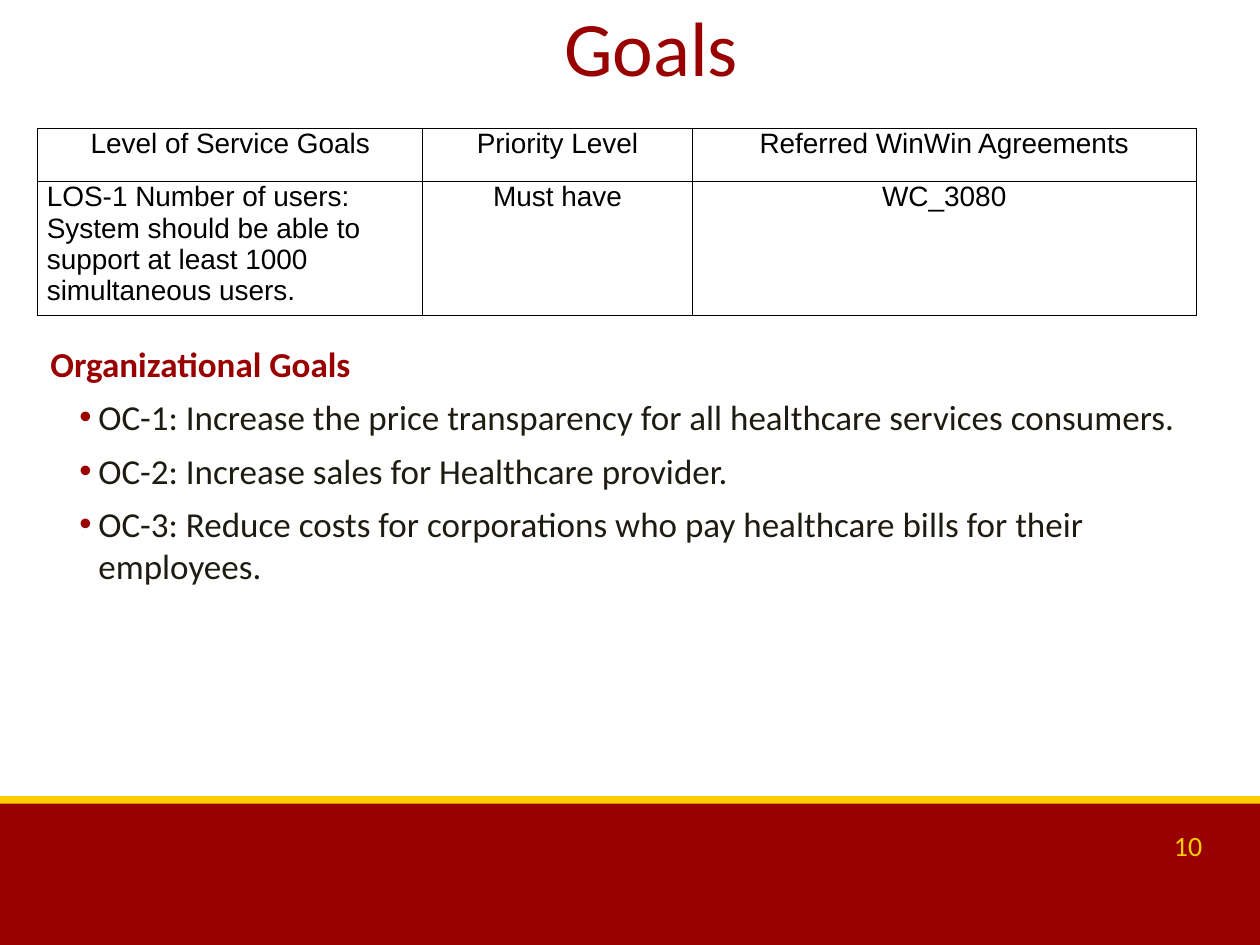
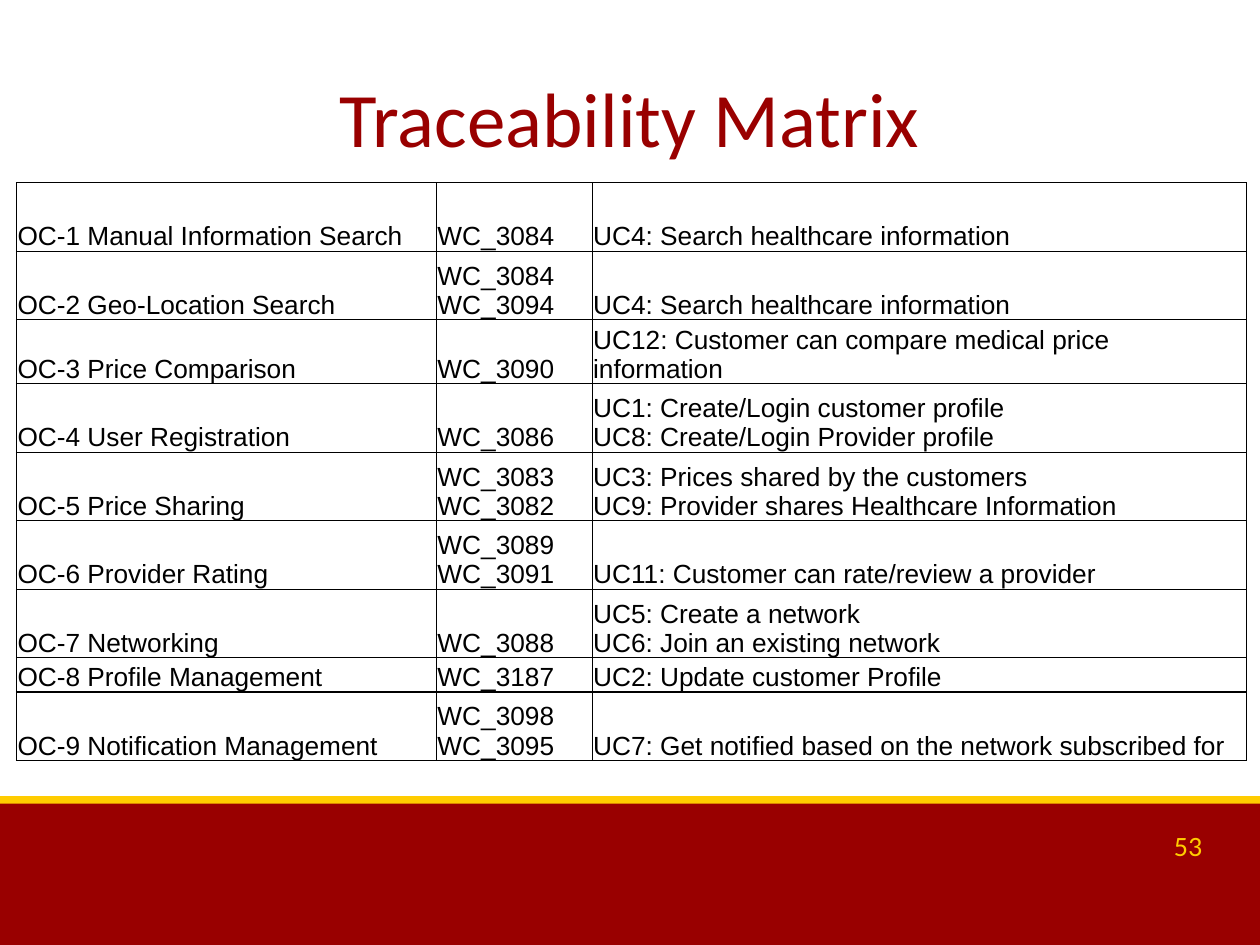
"""Build the goals and traceability matrix slides."""
from lxml.etree import SubElement
from pptx import Presentation
from pptx.dml.color import RGBColor
from pptx.enum.shapes import MSO_SHAPE
from pptx.enum.text import MSO_ANCHOR, MSO_AUTO_SIZE, PP_ALIGN
from pptx.oxml.ns import qn
from pptx.util import Pt

HUES = {"red": "990000", "gold": "FFCC00", "dark": "1E1C11", "black": "000000"}
SIZE = (720, 540)
BANDS = [("red", 457.2, 82.8), ("gold", 455, 4.3)]
PAGE = (526.3, 468.7, 167.8, 28.8)

GOALS = {
    "title": "Goals", "spot": (48.2, 0, 648, 51.8), "page": "10", "layout": 1,
    "table": {
        "at": (21.6, 73.4), "cols": [220, 154, 288], "rows": [30.5, 76.5],
        "size": 16, "pad": (5.2, 0, 5.2, 0), "anchor": MSO_ANCHOR.TOP,
        "left": {(1, 0)},
        "cells": [
            ("Level of Service Goals", "Priority Level", "Referred WinWin Agreements"),
            ("LOS-1 Number of users: System should be able to support at least "
             "1000 simultaneous users.", "Must have", "WC_3080"),
        ],
    },
    "body": {
        "spot": (21.6, 188.6, 661.7, 245.5), "head": "Organizational Goals",
        "items": [
            "OC-1: Increase the price transparency for all healthcare services consumers.",
            "OC-2: Increase sales for Healthcare provider.",
            "OC-3: Reduce costs for corporations who pay healthcare bills for their employees.",
        ],
    },
}

MATRIX = {
    "title": "Traceability Matrix", "spot": (36, 21.6, 648, 90), "page": "53", "layout": 5,
    "table": {
        "at": (9.4, 104.4), "cols": [240, 89, 374],
        "rows": [39.2] * 2 + [36.5] + [39.2] * 4 + [19.5, 39.2],
        "size": 15, "pad": (0.6, 0.6, 0.6, 0), "anchor": MSO_ANCHOR.BOTTOM,
        "left": None,
        "cells": [
            ("OC-1 Manual Information Search", "WC_3084", "UC4: Search healthcare information"),
            ("OC-2 Geo-Location Search", "WC_3084\nWC_3094", "UC4: Search healthcare information"),
            ("OC-3 Price Comparison", "WC_3090",
             "UC12: Customer can compare medical price information"),
            ("OC-4 User Registration", "WC_3086",
             "UC1: Create/Login customer profile\nUC8: Create/Login Provider profile"),
            ("OC-5 Price Sharing", "WC_3083\nWC_3082",
             "UC3: Prices shared by the customers\nUC9: Provider shares Healthcare Information"),
            ("OC-6 Provider Rating", "WC_3089\nWC_3091",
             "UC11: Customer can rate/review a provider"),
            ("OC-7 Networking", "WC_3088", "UC5: Create a network\nUC6: Join an existing network"),
            ("OC-8 Profile Management", "WC_3187", "UC2: Update customer Profile"),
            ("OC-9 Notification Management", "WC_3098\nWC_3095",
             "UC7: Get notified based on the network subscribed for"),
        ],
    },
}


def tint(name):
    return RGBColor.from_string(HUES[name])


def style(para, face, size, hue, align=PP_ALIGN.LEFT, bold=False):
    para.alignment = align
    for run in para.runs:
        font = run.font
        font.name, font.size, font.bold = face, Pt(size), bold
        font.color.rgb = tint(hue)


def place(shape, spot, anchor):
    shape.left, shape.top, shape.width, shape.height = map(Pt, spot)
    frame = shape.text_frame
    frame.word_wrap = True
    frame.auto_size = MSO_AUTO_SIZE.NONE
    frame.vertical_anchor = anchor
    frame.margin_left = frame.margin_right = Pt(7.2)
    frame.margin_top = frame.margin_bottom = Pt(7.2)
    return frame


def add_base(deck, data):
    slide = deck.slides.add_slide(deck.slide_layouts[data["layout"]])
    for hue, top, high in BANDS:
        band = slide.shapes.add_shape(
            MSO_SHAPE.RECTANGLE, 0, Pt(top), Pt(SIZE[0]), Pt(high))
        band.shadow.inherit = False
        band.fill.solid()
        band.fill.fore_color.rgb = tint(hue)
        band.line.fill.background()
    frame = place(slide.shapes.title, data["spot"], MSO_ANCHOR.MIDDLE)
    frame.text = data["title"]
    style(frame.paragraphs[0], "Calibri", 44, "red", PP_ALIGN.CENTER)
    box = slide.shapes.add_textbox(*map(Pt, PAGE))
    frame = place(box, PAGE, MSO_ANCHOR.MIDDLE)
    frame.text = data["page"]
    style(frame.paragraphs[0], "Calibri", 16, "gold", PP_ALIGN.RIGHT)
    return slide


def add_rules(cell):
    props = cell._tc.get_or_add_tcPr()
    for side in ("lnL", "lnR", "lnT", "lnB"):
        line = SubElement(props, qn(f"a:{side}"), w=str(Pt(0.75)))
        fill = SubElement(line, qn("a:solidFill"))
        SubElement(fill, qn("a:srgbClr"), val=HUES["black"])


def add_grid(slide, data):
    cols, rows = data["cols"], data["rows"]
    spot = (*data["at"], sum(cols), sum(rows))
    table = slide.shapes.add_table(len(rows), len(cols), *map(Pt, spot)).table
    table.first_row = table.horz_banding = False
    for col, wide in zip(table.columns, cols):
        col.width = Pt(wide)
    for row, high in zip(table.rows, rows):
        row.height = Pt(high)
    for r, line in enumerate(data["cells"]):
        for c, text in enumerate(line):
            cell = table.cell(r, c)
            add_rules(cell)
            cell.fill.background()
            cell.vertical_anchor = data["anchor"]
            (cell.margin_left, cell.margin_top,
             cell.margin_right, cell.margin_bottom) = map(Pt, data["pad"])
            para = cell.text_frame.paragraphs[0]
            para.text = text
            flush = data["left"] is None or (r, c) in data["left"]
            align = PP_ALIGN.LEFT if flush else PP_ALIGN.CENTER
            style(para, "Arial", data["size"], "black", align)


def add_list(slide, data):
    frame = place(slide.placeholders[1], data["spot"], MSO_ANCHOR.TOP)
    frame.text = "\n".join([data["head"], *data["items"]])
    for i, para in enumerate(frame.paragraphs):
        props = para._p.get_or_add_pPr()
        if i:
            props.set("marL", str(Pt(27.4)))
            props.set("indent", str(Pt(-10.8)))
            hue = SubElement(props, qn("a:buClr"))
            SubElement(hue, qn("a:srgbClr"), val=HUES["red"])
            SubElement(props, qn("a:buFont"), typeface="Arial")
            SubElement(props, qn("a:buChar"), char="•")
        else:
            props.set("marL", "0")
            props.set("indent", "0")
            SubElement(props, qn("a:buNone"))
        para.space_before = Pt(6.4 if i else 0)
        style(para, "Calibri", 20, "dark" if i else "red", bold=not i)


def main():
    deck = Presentation()
    deck.slide_width, deck.slide_height = map(Pt, SIZE)
    for data in (GOALS, MATRIX):
        slide = add_base(deck, data)
        add_grid(slide, data["table"])
        if "body" in data:
            add_list(slide, data["body"])
    deck.save("out.pptx")


if __name__ == "__main__":
    main()
